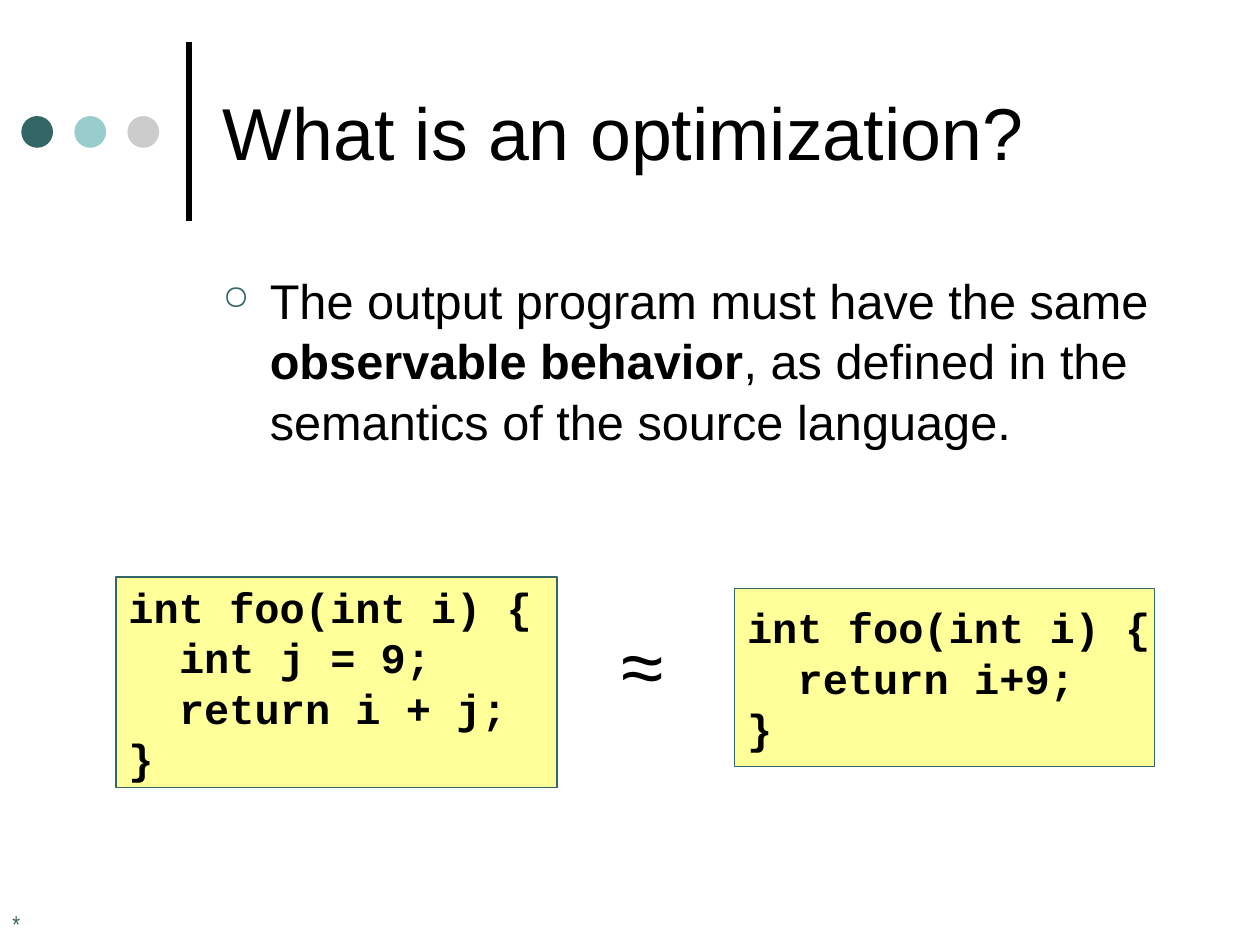
"""Build a slide that explains what a program optimization is."""
from dataclasses import dataclass

import lxml.etree
import pptx
import pptx.dml.color
import pptx.enum.shapes
import pptx.enum.text
import pptx.oxml.ns
import pptx.util

Cm, Pt = pptx.util.Cm, pptx.util.Pt
ANCHOR = pptx.enum.text.MSO_ANCHOR
SHAPE = pptx.enum.shapes.MSO_SHAPE
COLORS = {
    "black": "000000",
    "teal": "336666",
    "aqua": "99CCCC",
    "grey": "CCCCCC",
    "yellow": "FFFF99",
}


@dataclass
class Box:
    left: float
    top: float
    width: float
    height: float

    def lengths(self) -> tuple:
        return Cm(self.left), Cm(self.top), Cm(self.width), Cm(self.height)


@dataclass
class Style:
    size: float
    font: str = "Arial"
    color: str = "black"
    bold: bool = False


@dataclass
class CodeLine:
    text: str
    level: int = 0


@dataclass
class CodeBox:
    box: Box
    lines: list[CodeLine]


CODE = Style(24, "Courier New", bold=True)
CODE_INDENT = 1.02
DOT_COLORS = ["teal", "aqua", "grey"]
DOT_LEFT, DOT_TOP, DOT_SIZE, DOT_STEP = 0.43, 2.34, 0.64, 1.07
CODE_BOXES = [
    CodeBox(Box(2.34, 11.63, 8.89, 4.24), [
        CodeLine("int foo(int i) {"),
        CodeLine("int j = 9;", 1),
        CodeLine("return i + j;", 1),
        CodeLine("}"),
    ]),
    CodeBox(Box(14.81, 11.86, 8.46, 3.6), [
        CodeLine("int foo(int i) {"),
        CodeLine("return i+9;", 1),
        CodeLine("}"),
    ]),
]


def rgb(name: str) -> pptx.dml.color.RGBColor:
    return pptx.dml.color.RGBColor.from_string(COLORS[name])


def add_run(p, text: str, style: Style, bold: bool = False) -> None:
    r = p.add_run()
    r.text = text
    r.font.size = Pt(style.size)
    r.font.name = style.font
    r.font.bold = style.bold or bold
    r.font.color.rgb = rgb(style.color)


def add_text(s, box: Box, text: str, style: Style, wrap: bool = True):
    tf = s.shapes.add_textbox(*box.lengths()).text_frame
    tf.word_wrap = wrap
    if text:
        add_run(tf.paragraphs[0], text, style)
    return tf


def add_filled(s, kind, box: Box, fill: str):
    sp = s.shapes.add_shape(kind, *box.lengths())
    sp.shadow.inherit = False
    sp.fill.solid()
    sp.fill.fore_color.rgb = rgb(fill)
    return sp


def add_decoration(s) -> None:
    line = s.shapes.add_connector(
        pptx.enum.shapes.MSO_CONNECTOR.STRAIGHT, Cm(3.81), Cm(4.45), Cm(3.81), Cm(0.84))
    line.line.color.rgb = rgb("black")
    line.line.width = Pt(3)
    lxml.etree.SubElement(line._element.spPr, pptx.oxml.ns.qn("a:effectLst"))
    for i, color in enumerate(DOT_COLORS):
        box = Box(DOT_LEFT + i * DOT_STEP, DOT_TOP, DOT_SIZE, DOT_SIZE)
        add_filled(s, SHAPE.OVAL, box, color).line.fill.background()


def add_title(s, box: Box, text: str) -> None:
    sp = s.shapes.title
    sp.left, sp.top, sp.width, sp.height = box.lengths()
    tf = sp.text_frame
    tf.auto_size = pptx.enum.text.MSO_AUTO_SIZE.NONE
    tf.vertical_anchor = ANCHOR.MIDDLE
    p = tf.paragraphs[0]
    p.alignment = pptx.enum.text.PP_ALIGN.LEFT
    add_run(p, text, Style(42))


def add_bullet(p, char: str, color: str, percent: int, indent: float) -> None:
    qn = pptx.oxml.ns.qn
    pPr = p._p.get_or_add_pPr()
    pPr.set("marL", str(Cm(indent)))
    pPr.set("indent", str(-Cm(indent)))
    clr = lxml.etree.SubElement(pPr, qn("a:buClr"))
    lxml.etree.SubElement(clr, qn("a:srgbClr"), val=COLORS[color])
    lxml.etree.SubElement(pPr, qn("a:buSzPct"), val=str(percent * 1000))
    lxml.etree.SubElement(pPr, qn("a:buChar"), char=char)


def add_body(s, box: Box) -> None:
    style = Style(27.8)
    p = add_text(s, box, "", style).paragraphs[0]
    p.space_before = Pt(7.5)
    p.line_spacing = 1.04
    add_bullet(p, "○", "teal", 70, 0.95)
    add_run(p, "The output program must have the same ", style)
    add_run(p, "observable behavior", style, bold=True)
    add_run(p, ", as defined in the semantics of the source language.", style)


def add_code(s, code: CodeBox) -> None:
    sp = add_filled(s, SHAPE.RECTANGLE, code.box, "yellow")
    sp.line.color.rgb = rgb("teal")
    sp.line.width = Pt(0.75)
    tf = sp.text_frame
    tf.word_wrap = False
    tf.vertical_anchor = ANCHOR.MIDDLE
    for i, line in enumerate(code.lines):
        p = tf.add_paragraph() if i else tf.paragraphs[0]
        p.alignment = pptx.enum.text.PP_ALIGN.LEFT
        p._p.get_or_add_pPr().set("marL", str(Cm(line.level * CODE_INDENT)))
        add_run(p, line.text, CODE)


def main() -> None:
    prs = pptx.Presentation()
    prs.slide_width, prs.slide_height = Cm(25.4), Cm(19.05)
    s = prs.slides.add_slide(prs.slide_layouts[5])
    add_decoration(s)
    add_text(s, Box(0, 18.21, 5.28, 1.27), "*", Style(14, "Arial Narrow", "teal"))
    add_title(s, Box(4.24, 0.53, 19.48, 4.24), "What is an optimization?")
    add_body(s, Box(4.24, 5.28, 19.48, 4.52))
    for code in CODE_BOXES:
        add_code(s, code)
    add_text(s, Box(12.27, 12.32, 1.73, 2.13), "≈", Style(44), wrap=False)
    prs.save("out.pptx")


if __name__ == "__main__":
    main()
